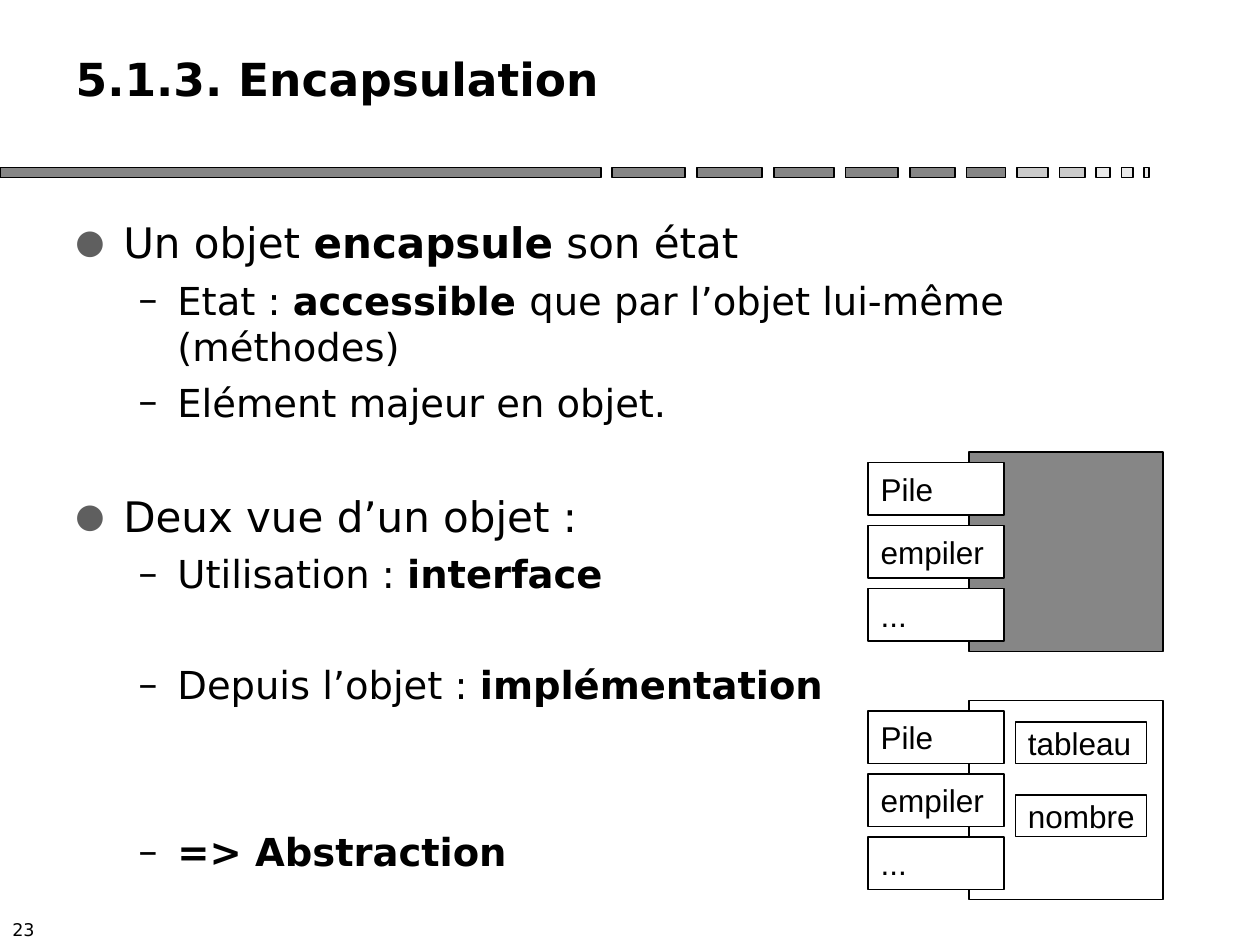
from lxml.etree import SubElement
from pptx import Presentation
from pptx.dml.color import RGBColor
from pptx.enum.shapes import MSO_SHAPE as Shape
from pptx.enum.text import MSO_ANCHOR as Anchor, PP_ALIGN as Align
from pptx.oxml.ns import qn
from pptx.util import Inches, Pt

BLACK, WHITE, GRAY = "000000", "FFFFFF", "868686"
LIGHT, PALE, BULLET_GRAY = "CBCBCB", "EAEAEA", "5F5F5F"
TEXT_FONT, BOX_FONT = "DejaVu Sans", "Arial"

TITLE = "5.1.3. Encapsulation"
PAGE_NUMBER = "23"

# Level, space before in points, runs as (text, bold)
OUTLINE = [
    (0, 0, [("Un objet ", False), ("encapsule", True), (" son état", False)]),
    (1, 5.5, [("Etat : ", False), ("accessible ", True),
              ("que par l’objet lui-même (méthodes)", False)]),
    (1, 5.5, [("Elément majeur en objet.", False)]),
    (0, 37.5, [("Deux vue d’un objet :", False)]),
    (1, 5.5, [("Utilisation : ", False), ("interface", True)]),
    (1, 37, [("Depuis l’objet : ", False), ("implémentation", True)]),
    (1, 69, [("=> Abstraction", True)]),
]
# Size, left margin, hanging indent, bullet, bullet colour, bullet size in percent
LEVELS = [
    (24, 0.38, 0.38, "●", BULLET_GRAY, 80),
    (22, 0.81, 0.31, "–", BLACK, 100),
]

# Rule under the title: widths of the dashes by colour, left to right
RULE = [
    (GRAY, [4.77, 0.58, 0.52, 0.48, 0.42, 0.36, 0.31]),
    (LIGHT, [0.25, 0.2]),
    (PALE, [0.11, 0.09, 0.04]),
]
RULE_TOP, RULE_HEIGHT, RULE_GAP = 1.33, 0.08, 0.09

# Views of the object: top, fill, attributes shown inside
METHODS = ["Pile", "empiler", "..."]
VIEWS = [(3.59, GRAY, []), (5.56, WHITE, ["tableau", "nombre"])]
METHOD_PITCH, ATTRIBUTE_PITCH = 0.5, 0.58


def color(hex_string):
    return RGBColor.from_string(hex_string)


def add_run(paragraph, text, size, font_name=TEXT_FONT, bold=False):
    run = paragraph.add_run()
    run.text = text
    font = run.font
    font.size, font.name, font.bold = Pt(size), font_name, bold
    font.color.rgb = color(BLACK)


def place(shape, left, top, width, height):
    shape.left, shape.top = Inches(left), Inches(top)
    shape.width, shape.height = Inches(width), Inches(height)


def add_label(shape, text, size, font_name=TEXT_FONT, bold=False):
    """Write one left-aligned line, centred vertically in the shape."""
    frame = shape.text_frame
    frame.word_wrap = True
    frame.vertical_anchor = Anchor.MIDDLE
    frame.margin_right = 0
    paragraph = frame.paragraphs[0]
    paragraph.alignment = Align.LEFT
    add_run(paragraph, text, size, font_name, bold)


def add_box(shapes, left, top, width, height, fill, text=None):
    box = shapes.add_shape(Shape.RECTANGLE, Inches(left), Inches(top),
                           Inches(width), Inches(height))
    box.shadow.inherit = False
    box.fill.solid()
    box.fill.fore_color.rgb = color(fill)
    box.line.color.rgb = color(BLACK)
    box.line.width = Pt(1)
    if text:
        add_label(box, text, 18, BOX_FONT)


def set_bullet(paragraph, margin, hanging, character, bullet_color, percent):
    properties = paragraph._p.get_or_add_pPr()
    properties.set("marL", str(Inches(margin)))
    properties.set("indent", str(-Inches(hanging)))
    fill = SubElement(properties, qn("a:buClr"))
    SubElement(fill, qn("a:srgbClr"), val=bullet_color)
    SubElement(properties, qn("a:buSzPct"), val=str(percent * 1000))
    SubElement(properties, qn("a:buFont"), typeface=TEXT_FONT)
    SubElement(properties, qn("a:buChar"), char=character)


def add_rule(slide):
    shapes = slide.shapes.add_group_shape().shapes
    left = 0
    for fill, widths in RULE:
        for width in widths:
            add_box(shapes, left, RULE_TOP, width, RULE_HEIGHT, fill)
            left += width + RULE_GAP


def add_outline(slide):
    body = slide.shapes.add_textbox(0, 0, 0, 0)
    place(body, 0.5, 1.67, 9.25, 5.67)
    frame = body.text_frame
    frame.word_wrap = True
    for index, (level, space, runs) in enumerate(OUTLINE):
        paragraph = frame.add_paragraph() if index else frame.paragraphs[0]
        size, *bullet = LEVELS[level]
        set_bullet(paragraph, *bullet)
        paragraph.level = level
        paragraph.space_before = Pt(space)
        for text, bold in runs:
            add_run(paragraph, text, size, bold=bold)


def add_view(slide, top, fill, attributes):
    shapes = slide.shapes.add_group_shape().shapes
    add_box(shapes, 7.69, top, 1.54, 1.58, fill)
    for row, method in enumerate(METHODS):
        add_box(shapes, 6.89, top + 0.08 + row * METHOD_PITCH, 1.08, 0.42, WHITE, method)
    for row, attribute in enumerate(attributes):
        add_box(shapes, 8.06, top + 0.17 + row * ATTRIBUTE_PITCH, 1.04, 0.33, WHITE, attribute)


def main():
    presentation = Presentation()
    presentation.slide_width, presentation.slide_height = Inches(10), Inches(7.5)
    slide = presentation.slides.add_slide(presentation.slide_layouts[5])

    add_rule(slide)
    number = slide.shapes.add_textbox(0, 0, 0, 0)
    place(number, 0, 7.25, 0.5, 0.25)
    add_label(number, PAGE_NUMBER, 10)

    place(slide.shapes.title, 0.5, 0.25, 9.25, 0.75)
    add_label(slide.shapes.title, TITLE, 26, bold=True)
    add_outline(slide)
    for view in VIEWS:
        add_view(slide, *view)

    presentation.save("out.pptx")


if __name__ == "__main__":
    main()
